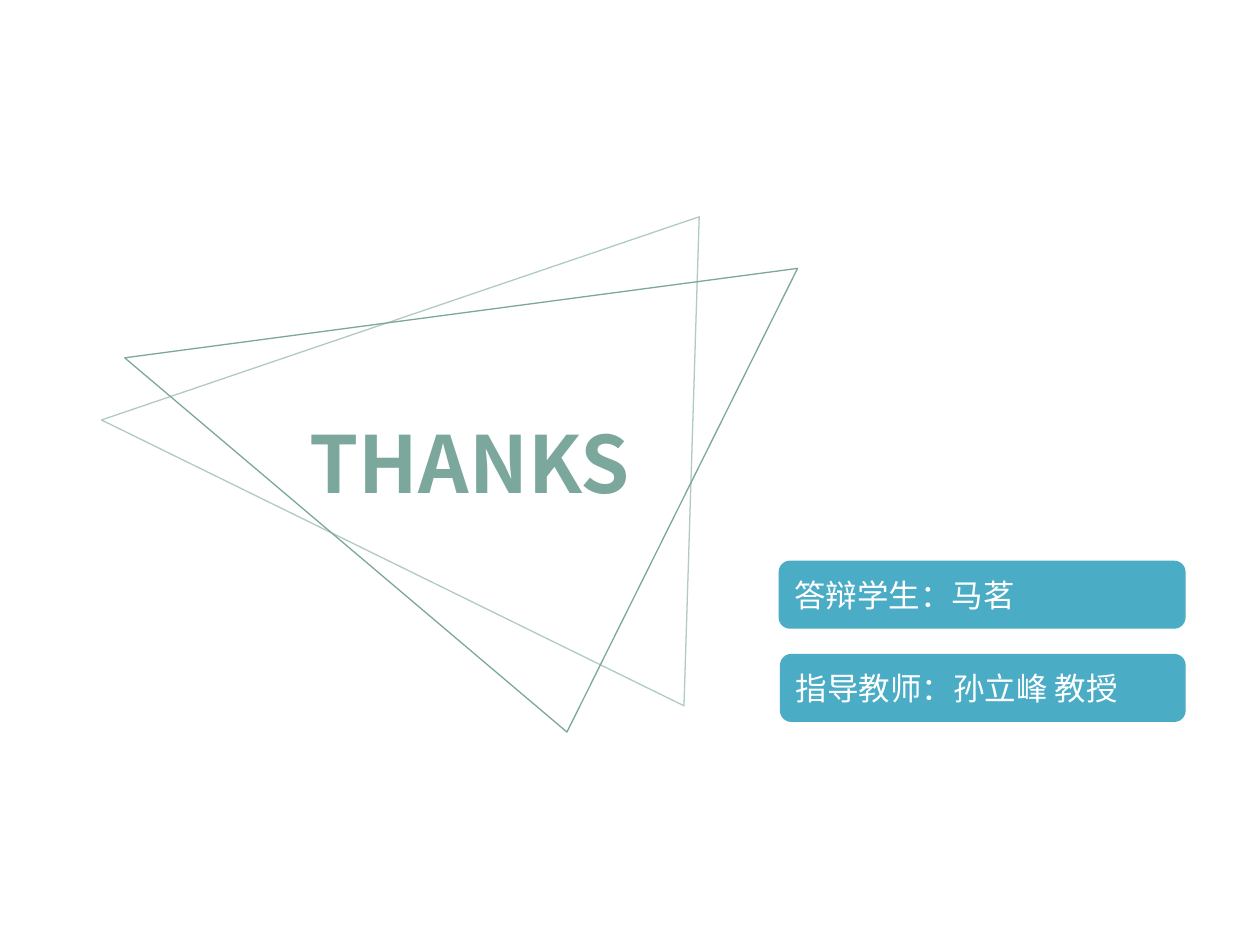
from dataclasses import dataclass

from lxml.etree import SubElement
from pptx import Presentation
from pptx.dml.color import RGBColor
from pptx.enum.shapes import MSO_SHAPE
from pptx.enum.text import MSO_ANCHOR, MSO_AUTO_SIZE, PP_ALIGN
from pptx.oxml.ns import qn
from pptx.shapes.shapetree import GroupShapes
from pptx.text.text import TextFrame
from pptx.util import Inches, Pt


@dataclass(frozen=True)
class Theme:
    font: str = "Noto Sans CJK SC"
    sage: RGBColor = RGBColor(0x7B, 0xA7, 0x9D)
    pale_sage: RGBColor = RGBColor(0xB0, 0xCA, 0xC4)
    teal: RGBColor = RGBColor(0x4B, 0xAC, 0xC6)
    white: RGBColor = RGBColor(0xFF, 0xFF, 0xFF)
    closing_size: float = 45
    credit_size: float = 18
    outline_width: float = 0.75


@dataclass(frozen=True)
class Triangle:
    corners: tuple[tuple[float, float], ...]
    color: RGBColor
    rotation: float = 0


@dataclass(frozen=True)
class Credit:
    wording: str
    left: float
    top: float


THEME = Theme()
CREDIT_RIGHT = 9.41
CREDIT_HEIGHT = 0.54

TRIANGLES = (
    Triangle(((5.42, 1.56), (0.8, 3.5), (5.57, 5.44)), THEME.pale_sage, 4),
    Triangle(((0.99, 2.84), (6.33, 2.13), (4.5, 5.81)), THEME.sage),
)
CREDITS = (
    Credit("答辩学生：马茗", 6.18, 4.45),
    Credit("指导教师：孙立峰 教授", 6.19, 5.19),
)


def write(frame: TextFrame, wording: str, size: float, color: RGBColor, bold: bool = False) -> None:
    paragraph = frame.paragraphs[0]
    paragraph.alignment = PP_ALIGN.LEFT
    run = paragraph.add_run()
    run.text = wording
    run.font.color.rgb = color
    for attribute, value in {"name": THEME.font, "size": Pt(size), "bold": bold}.items():
        setattr(run.font, attribute, value)
    SubElement(run.font._element, qn("a:ea"), typeface=THEME.font)


def draw_triangle(shapes: GroupShapes, triangle: Triangle) -> None:
    start, *others = [(Inches(x), Inches(y)) for x, y in triangle.corners]
    builder = shapes.build_freeform(*start)
    builder.add_line_segments(others, close=True)
    outline = builder.convert_to_shape()
    outline.rotation = triangle.rotation
    outline.shadow.inherit = False
    outline.fill.background()
    outline.line.color.rgb = triangle.color
    outline.line.width = Pt(THEME.outline_width)


def draw_closing(shapes: GroupShapes) -> None:
    closing = shapes.add_textbox(Inches(2.36), Inches(3.24), Inches(2.94), Inches(0.86))
    frame = closing.text_frame
    for attribute, value in {"word_wrap": False, "auto_size": MSO_AUTO_SIZE.SHAPE_TO_FIT_TEXT}.items():
        setattr(frame, attribute, value)
    write(frame, "THANKS", THEME.closing_size, THEME.sage, bold=True)


def draw_credit(shapes: GroupShapes, credit: Credit) -> None:
    bar = shapes.add_shape(
        MSO_SHAPE.ROUNDED_RECTANGLE,
        Inches(credit.left),
        Inches(credit.top),
        Inches(CREDIT_RIGHT - credit.left),
        Inches(CREDIT_HEIGHT),
    )
    bar.shadow.inherit = False
    bar.fill.solid()
    bar.fill.fore_color.rgb = THEME.teal
    bar.line.fill.background()
    for attribute, value in {"word_wrap": True, "vertical_anchor": MSO_ANCHOR.MIDDLE}.items():
        setattr(bar.text_frame, attribute, value)
    write(bar.text_frame, credit.wording, THEME.credit_size, THEME.white)


def main() -> None:
    deck = Presentation()
    deck.slide_width, deck.slide_height = Inches(10), Inches(7.5)
    slide = deck.slides.add_slide(deck.slide_layouts[6])

    emblem = slide.shapes.add_group_shape().shapes
    for triangle in TRIANGLES:
        draw_triangle(emblem, triangle)
    draw_closing(emblem)

    credits = slide.shapes.add_group_shape().shapes
    for credit in CREDITS:
        draw_credit(credits, credit)

    deck.save("out.pptx")


if __name__ == "__main__":
    main()
